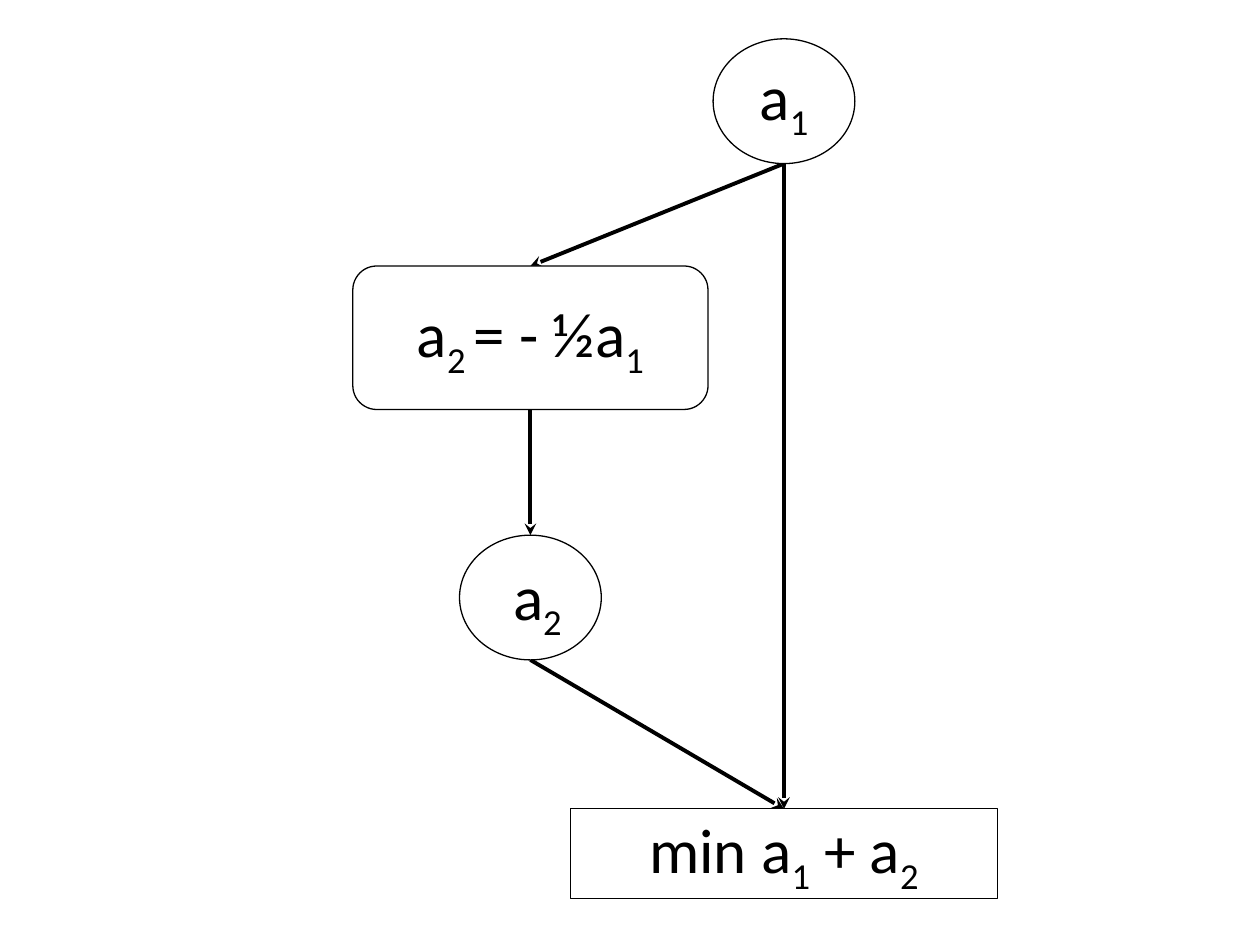
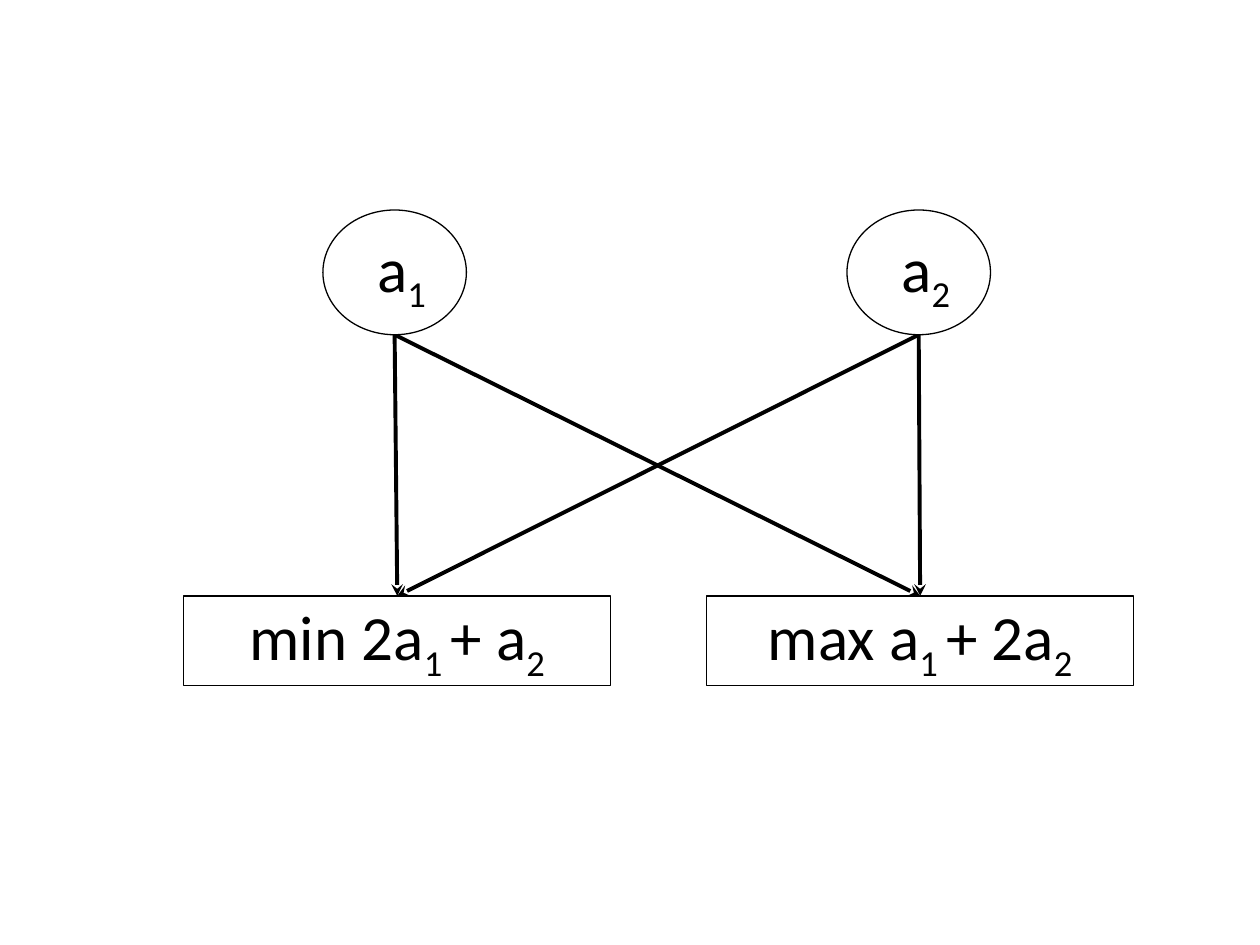
import pptx
import pptx.util
import pptx.dml.color
import pptx.enum.shapes
import pptx.enum.text
import pptx.oxml
import pptx.oxml.ns
import lxml.etree

Pt = pptx.util.Pt
SHAPE = pptx.enum.shapes.MSO_SHAPE
COLORS = {name: pptx.dml.color.RGBColor.from_string(value)
          for name, value in {"ink": "000000", "paper": "FFFFFF"}.items()}
FONT, SIZE = "Calibri", 36
CIRCLE_H, GOAL_W, TEXT_H = 71.3, 244, 51.1


def add_node(shapes, kind, cx, top, w, h, text=""):
    """Outlined shape, or plain text box if kind is None; | toggles subscript."""
    box = (Pt(cx - w / 2), Pt(top), Pt(w), Pt(h))
    if kind is None:
        sp = shapes.add_textbox(*box)
    else:
        sp = shapes.add_shape(kind, *box)
        sp.shadow.inherit = False
        sp.fill.solid()
        sp.fill.fore_color.rgb = COLORS["paper"]
        sp.line.color.rgb = COLORS["ink"]
        sp.line.width = Pt(0.75)
    if not text:
        return
    tf = sp.text_frame
    tf.word_wrap = True
    tf.vertical_anchor = pptx.enum.text.MSO_ANCHOR.MIDDLE
    if h == TEXT_H:
        tf.auto_size = pptx.enum.text.MSO_AUTO_SIZE.SHAPE_TO_FIT_TEXT
    p = tf.paragraphs[0]
    p.alignment = pptx.enum.text.PP_ALIGN.CENTER
    for i, part in enumerate(text.split("|")):
        r = p.add_run()
        r.text = part
        r.font.name = FONT
        r.font.size = Pt(SIZE)
        r.font.color.rgb = COLORS["ink"]
        if i % 2:
            r.font._element.set("baseline", "-25000")


def add_arrow(s, x1, y1, x2, y2):
    cn = s.shapes.add_connector(pptx.enum.shapes.MSO_CONNECTOR.STRAIGHT,
                                Pt(x1), Pt(y1), Pt(x2), Pt(y2))
    cn.line.color.rgb = COLORS["ink"]
    cn.line.width = Pt(2.25)
    tail = lxml.etree.SubElement(cn.line._get_or_add_ln(), pptx.oxml.ns.qn("a:tailEnd"))
    tail.set("type", "stealth")
    lxml.etree.SubElement(cn._element.spPr, pptx.oxml.ns.qn("a:effectLst"))


prs = pptx.Presentation()
prs.slide_width, prs.slide_height = Pt(720), Pt(540)
blank = prs.slide_layouts[6]

# Slide 1: a2 follows from a1, both feed one goal
s = prs.slides.add_slide(blank)
left, right = 303.1, 448
a1_top, rule_top, a2_top, goal_top = 22.2, 152, 305.8, 462.2
rule_h = 82
a1_bottom, a2_bottom = a1_top + CIRCLE_H, a2_top + CIRCLE_H

add_arrow(s, left, rule_top + rule_h, left, a2_top)
add_arrow(s, right, a1_bottom, left, rule_top)
add_arrow(s, right, a1_bottom, right, goal_top)
add_arrow(s, left, a2_bottom, right, goal_top)

add_node(s.shapes, SHAPE.OVAL, right, a1_top, 81, CIRCLE_H)
add_node(s.shapes, None, right, a1_top + 9.5, 81, TEXT_H, "a|1")
group = s.shapes.add_group_shape().shapes
add_node(group, SHAPE.OVAL, left, a2_top, 81, CIRCLE_H)
add_node(group, None, left + 4, a2_top + 11.5, 81, TEXT_H, "a|2")
add_node(s.shapes, SHAPE.ROUNDED_RECTANGLE, left, rule_top, 203, rule_h,
         "a|2 |= - ½a|1")
add_node(s.shapes, SHAPE.RECTANGLE, right, goal_top, GOAL_W, TEXT_H,
         "min a|1| + a|2")

# Slide 2: each variable feeds both goals
s = prs.slides.add_slide(blank)
var_top, goal_top = 120, 340.5
variables = [(225.5, "a|1"), (525, "a|2")]
goals = [(227, "min 2a|1 |+ a|2"), (525.8, "max a|1 |+ 2a|2")]

for var_x, name in variables:
    for goal_x, goal in goals:
        add_arrow(s, var_x, var_top + CIRCLE_H, goal_x, goal_top)
for x, name in variables:
    group = s.shapes.add_group_shape().shapes
    add_node(group, SHAPE.OVAL, x, var_top, 82, CIRCLE_H)
    add_node(group, None, x + 4, var_top + 10, 82, TEXT_H, name)
for x, goal in goals:
    add_node(s.shapes, SHAPE.RECTANGLE, x, goal_top, GOAL_W, TEXT_H, goal)

prs.save("out.pptx")
